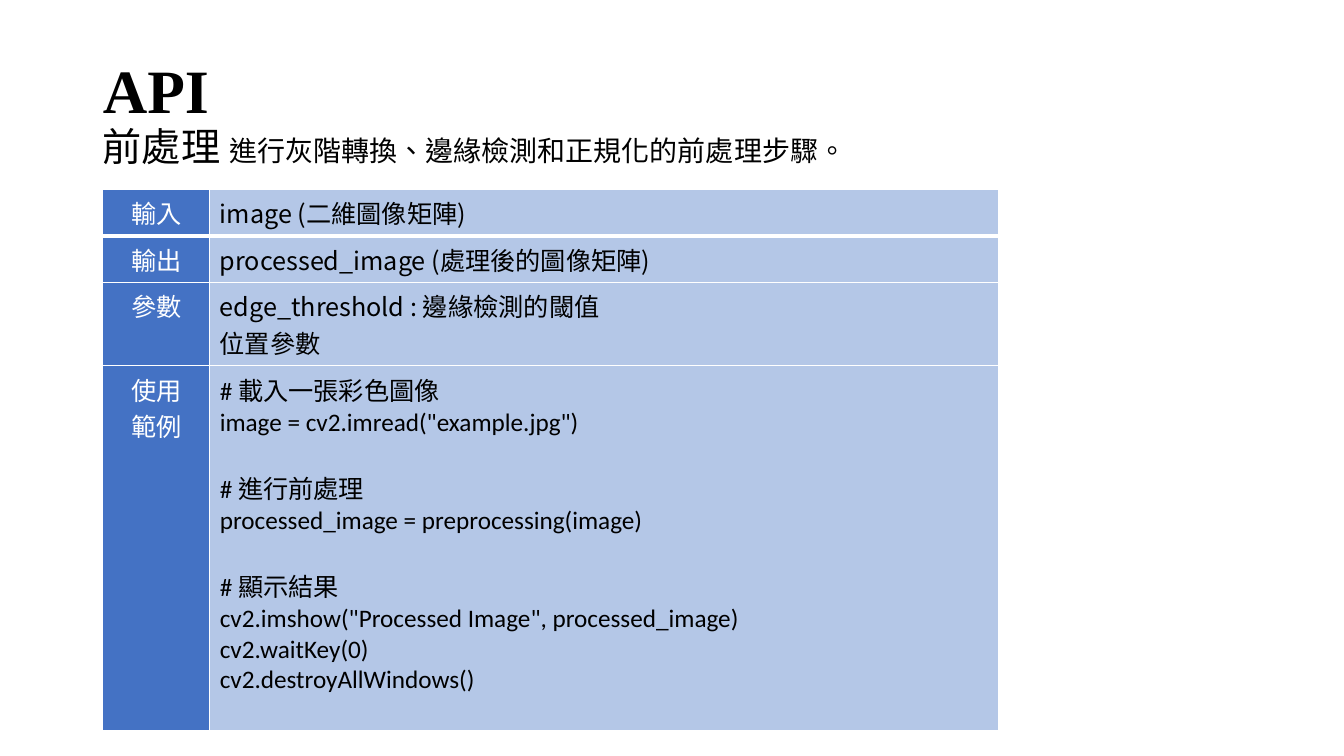
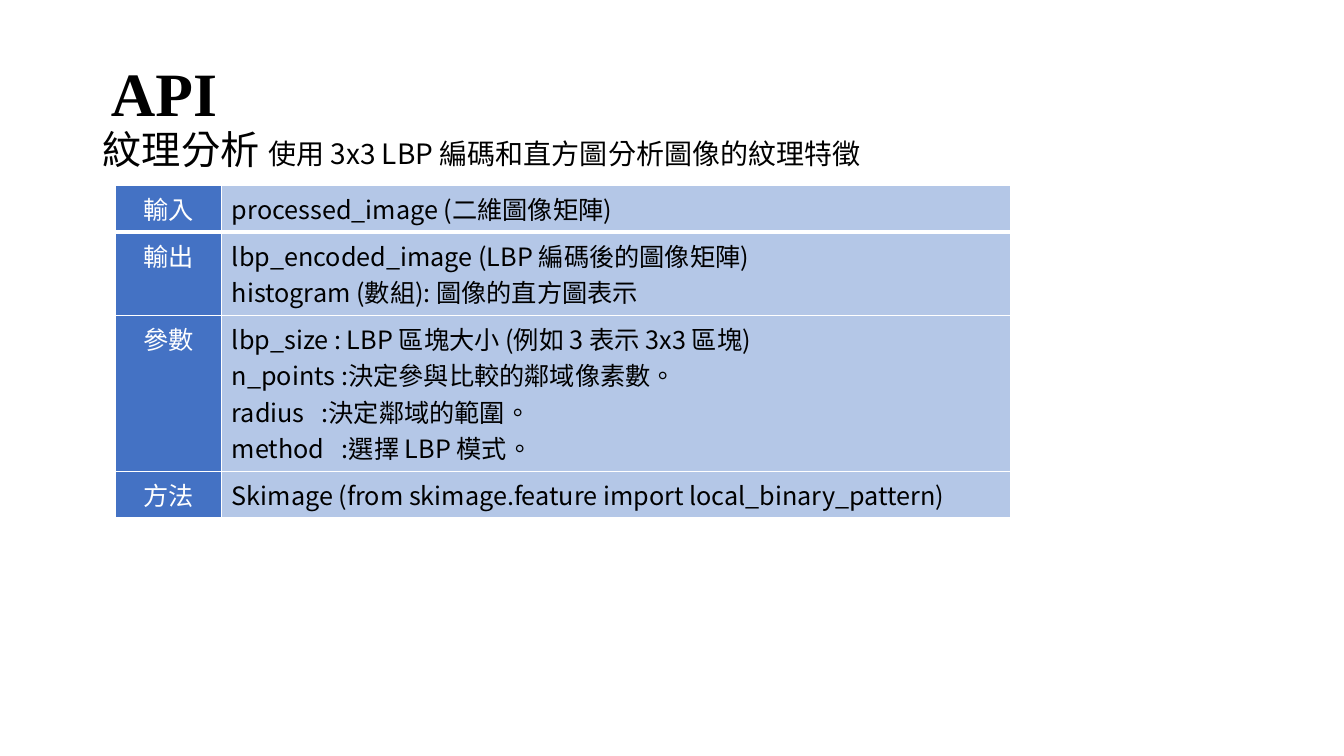
"""Builds two API reference slides, each with a title, a lead line and a table."""
from lxml import etree
from pptx import Presentation
from pptx import util as u
from pptx.dml.color import RGBColor
from pptx.enum import lang, text
from pptx.oxml import ns

THEME = {
    "ink": "000000", "paper": "FFFFFF", "head": "4472C4", "cell": "B4C7E7",
    "serif": "Times New Roman", "sans": "Noto Sans CJK SC", "code": "Calibri",
    "title": 44, "topic": 28, "lead": 20, "text": 18, "gap": 22,
    "thin": 1, "thick": 3,
}
COLS = (1.06, 7.82)
STOPS = {"radius": 0.89, "method": 1.09}
PAGES = [
    {
        "title": (0.92, 0.2), "body": (0.92, 1.22), "table": (1.02, 1.88),
        "topic": "前處理 ", "lead": "進行灰階轉換、邊緣檢測和正規化的前處理步驟。",
        "rows": [
            (["輸入"], ["image (二維圖像矩陣)"]),
            (["輸出"], ["processed_image (處理後的圖像矩陣)"]),
            (["參數"], ["edge_threshold : 邊緣檢測的閾值", "位置參數"]),
            (["使用", "範例"], [
                "# 載入一張彩色圖像",
                'image = cv2.imread("example.jpg")',
                "# 進行前處理",
                "processed_image = preprocessing(image)",
                "# 顯示結果",
                'cv2.imshow("Processed Image", processed_image)',
                "cv2.waitKey(0)",
                "cv2.destroyAllWindows()",
            ]),
        ],
        "code": 3, "tall": 3.62,
    },
    {
        "title": (1, 0.23), "body": (0.92, 1.25), "table": (1.14, 1.84),
        "topic": "紋理分析 ", "lead": "使用 3x3 LBP 編碼和直方圖分析圖像的紋理特徵",
        "rows": [
            (["輸入"], ["processed_image (二維圖像矩陣)"]),
            (["輸出"], ["lbp_encoded_image (LBP 編碼後的圖像矩陣)",
                      "histogram (數組): 圖像的直方圖表示"]),
            (["參數"], ["lbp_size : LBP 區塊大小 (例如 3 表示 3x3 區塊)",
                      "n_points :決定參與比較的鄰域像素數。",
                      "radius\t:決定鄰域的範圍。",
                      "method\t:選擇 LBP 模式。"]),
            (["方法"], ["Skimage (from skimage.feature import local_binary_pattern)"]),
        ],
    },
]


def tint(name):
    return RGBColor.from_string(THEME[name])


def style(obj, **vals):
    for key, val in vals.items():
        setattr(obj, key, val)


def write(par, words, size, face="sans", ink="ink", bold=False):
    run = par.add_run()
    run.text = words
    style(run.font, size=u.Pt(THEME[size]), name=THEME[face], bold=bold,
          language_id=lang.MSO_LANGUAGE_ID.TRADITIONAL_CHINESE)
    run.font.color.rgb = tint(ink)
    props = run.font._element
    etree.SubElement(props, ns.qn("a:ea"), typeface=THEME["sans"])


def place(shape, spot, height):
    left, top = spot
    style(shape, left=u.Inches(left), top=u.Inches(top),
          width=u.Inches(11.5), height=u.Inches(height))
    frame = shape.text_frame
    style(frame, word_wrap=True, auto_size=text.MSO_AUTO_SIZE.NONE)
    par = frame.paragraphs[0]
    style(par, alignment=text.PP_ALIGN.LEFT, line_spacing=0.9)
    return par


def edge(cell, row):
    props = cell._tc.get_or_add_tcPr()
    wide = {"lnB": row == 0, "lnT": row == 1}
    for spot, side in enumerate(("lnL", "lnR", "lnT", "lnB")):
        size = THEME["thick" if wide.get(side) else "thin"]
        line = etree.Element(ns.qn(f"a:{side}"), w=str(u.Pt(size)))
        fill = etree.SubElement(line, ns.qn("a:solidFill"))
        etree.SubElement(fill, ns.qn("a:srgbClr"), val=THEME["paper"])
        props.insert(spot, line)


def stop(par, left):
    tabs = etree.SubElement(par._p.get_or_add_pPr(), ns.qn("a:tabLst"))
    etree.SubElement(tabs, ns.qn("a:tab"), pos=str(u.Inches(left)), algn="l")


def fill(cell, lines, row, head, code):
    cell.fill.solid()
    cell.fill.fore_color.rgb = tint("head" if head else "cell")
    edge(cell, row)
    frame = cell.text_frame
    for num, line in enumerate(lines):
        par = frame.add_paragraph() if num else frame.paragraphs[0]
        par.alignment = text.PP_ALIGN.CENTER if head else text.PP_ALIGN.LEFT
        if num and line.startswith("#"):
            par.space_before = u.Pt(THEME["gap"])
        key = line.split("\t")[0]
        if key in STOPS:
            stop(par, STOPS[key])
        write(par, line, "text", "code" if code else "sans",
              "paper" if head else "ink")


def grid(slide, page):
    rows = page["rows"]
    code = page.get("code")
    highs = [page["tall"] if num == code else 0.1 + 0.36 * len(body)
             for num, (_, body) in enumerate(rows)]
    sizes = (*page["table"], sum(COLS), sum(highs))
    table = slide.shapes.add_table(len(rows), len(COLS), *map(u.Inches, sizes)).table
    table.horz_banding = False
    for col, width in zip(table.columns, COLS):
        col.width = u.Inches(width)
    for num, (pair, high) in enumerate(zip(rows, highs)):
        table.rows[num].height = u.Inches(high)
        for col, lines in enumerate(pair):
            head = col == 0
            fill(table.cell(num, col), lines, num, head, num == code and not head)


def build(deck, page):
    slide = deck.slides.add_slide(deck.slide_layouts[1])
    title, body = slide.placeholders
    write(place(title, page["title"], 1.45), "API", "title", "serif", bold=True)
    par = place(body, page["body"], 4.76)
    par.space_before = u.Pt(10)
    props = par._p.get_or_add_pPr()
    for key in ("marL", "indent"):
        props.set(key, "0")
    etree.SubElement(props, ns.qn("a:buNone"))
    for key in ("topic", "lead"):
        write(par, page[key], key)
    grid(slide, page)


def main():
    deck = Presentation()
    style(deck, slide_width=u.Inches(13.33), slide_height=u.Inches(7.5))
    for page in PAGES:
        build(deck, page)
    deck.save("out.pptx")


if __name__ == "__main__":
    main()
